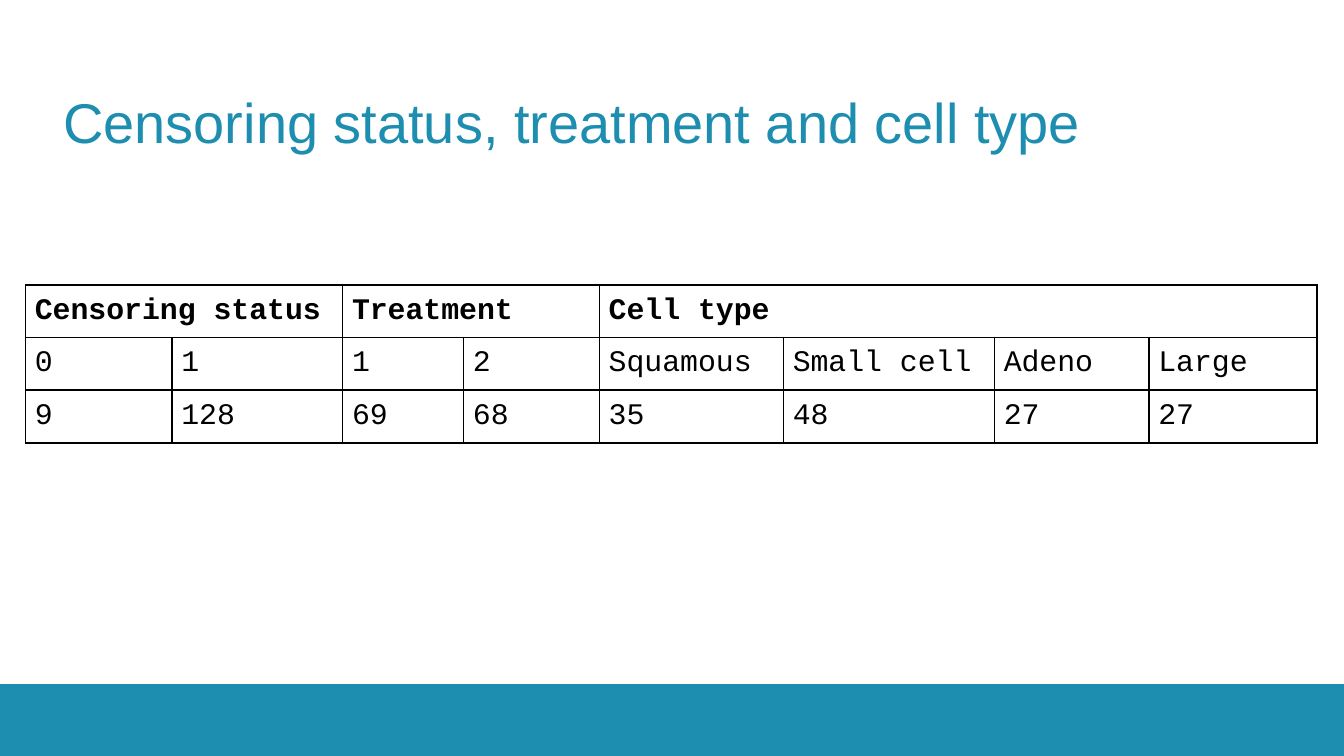
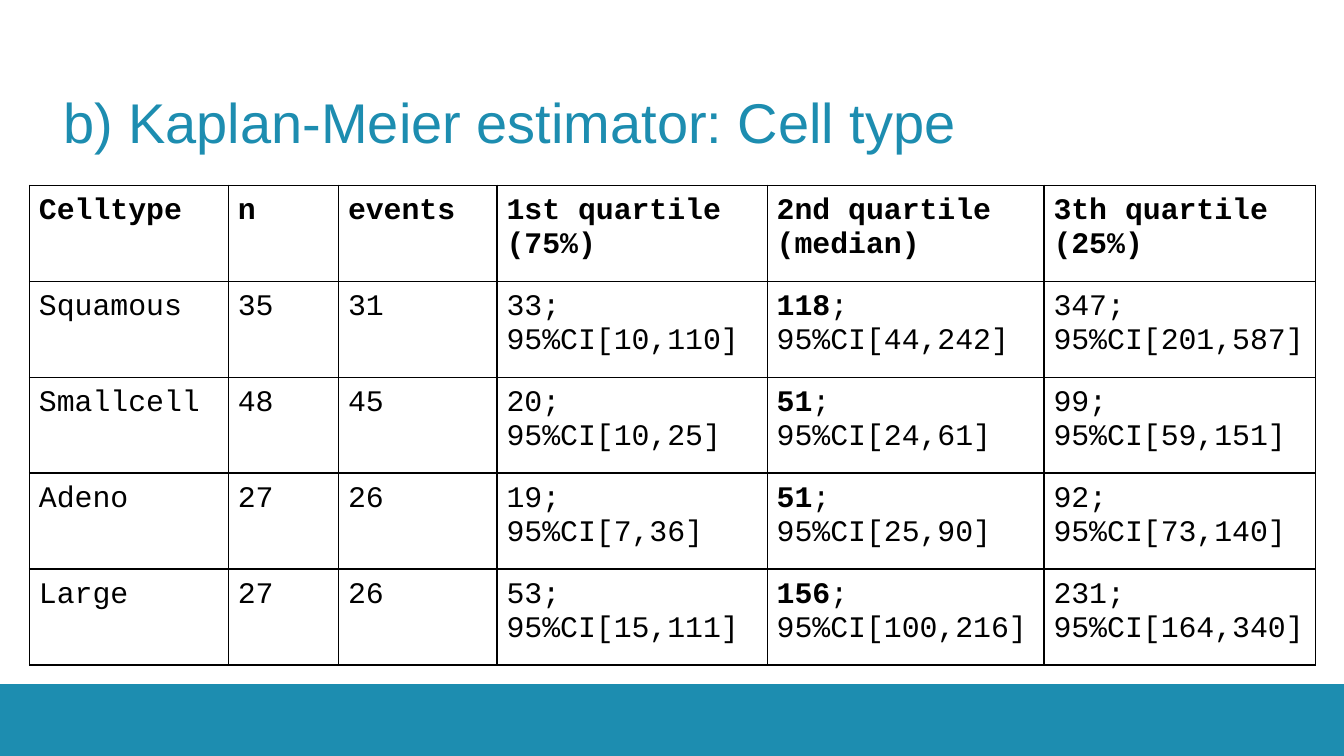
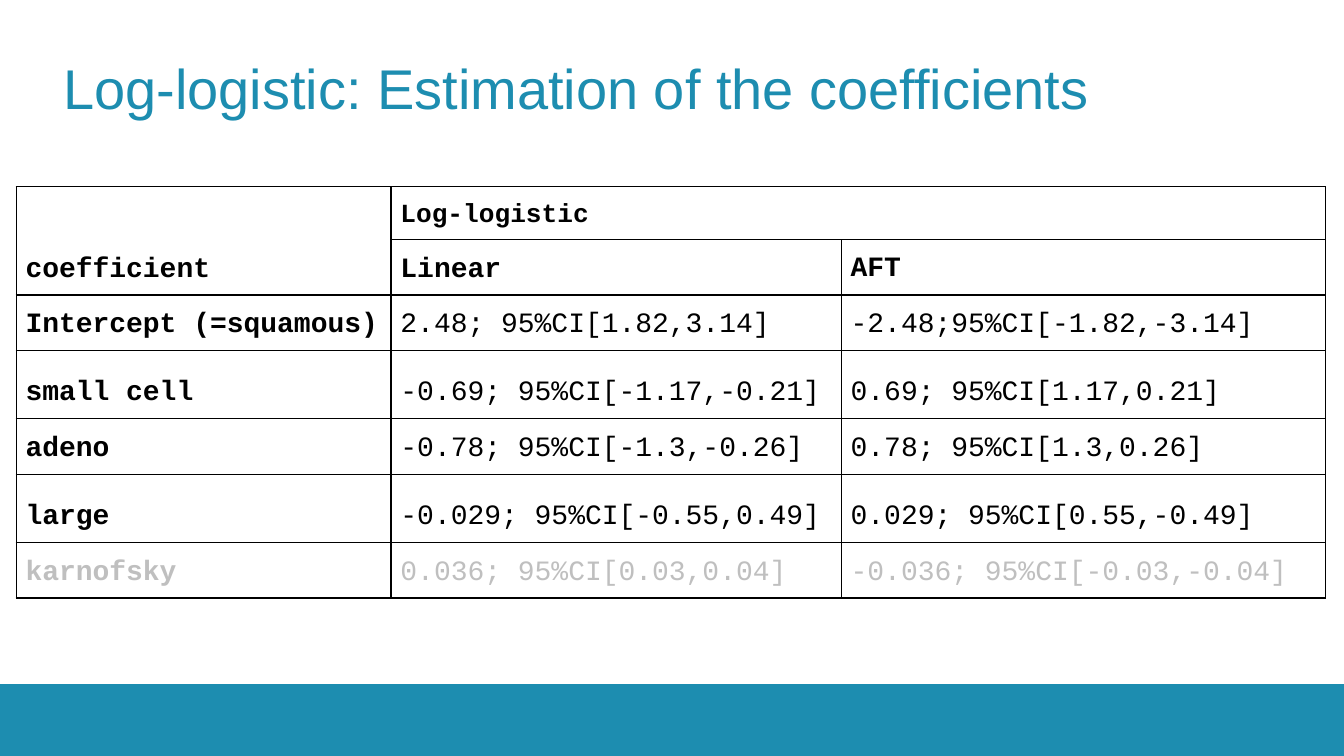
from lxml import etree
from pptx import Presentation
from pptx.dml.color import RGBColor
from pptx.enum.shapes import MSO_SHAPE
from pptx.enum.text import MSO_ANCHOR, PP_ALIGN
from pptx.oxml.ns import qn
from pptx.util import Inches, Pt

RECTANGLE = MSO_SHAPE.RECTANGLE
TOP, MIDDLE, BOTTOM = MSO_ANCHOR.TOP, MSO_ANCHOR.MIDDLE, MSO_ANCHOR.BOTTOM
LEFT, JUSTIFY = PP_ALIGN.LEFT, PP_ALIGN.JUSTIFY

TEAL = RGBColor(0x1D, 0x8D, 0xB0)
BLACK = RGBColor(0, 0, 0)
GREY = RGBColor(0xBF, 0xBF, 0xBF)
MARGIN = Inches(0.07)

prs = Presentation()
prs.slide_width = Inches(10)
prs.slide_height = prs.slide_width * 9 // 16
TITLE_ONLY = prs.slide_layouts[5]


def add_slide(title, top):
    s = prs.slides.add_slide(TITLE_ONLY)
    sp = s.shapes.title
    sp.left, sp.top, sp.width, sp.height = map(Inches, (0.47, top, 9.06, 0.94))
    tf = sp.text_frame
    tf.margin_left = tf.margin_top = tf.margin_right = tf.margin_bottom = 0
    tf.vertical_anchor = MIDDLE
    p = tf.paragraphs[0]
    p.text = title
    p.alignment = LEFT
    p.font.name, p.font.size, p.font.color.rgb = "Arial", Pt(30), TEAL
    return s


def add_grid(s, left, top, cols, heights, rows, header_rows, size, border):
    """Add a bordered table; text between asterisks is bold, as are header rows."""
    frame = s.shapes.add_table(len(rows), len(cols), Inches(left), Inches(top),
                               Inches(sum(cols)), Inches(sum(heights)))
    table = frame.table
    table.first_row = table.horz_banding = False
    for column, width in zip(table.columns, cols):
        column.width = Inches(width)
    for i, (row, height) in enumerate(zip(rows, heights)):
        table.rows[i].height = Inches(height)
        for j, text in enumerate(row):
            cell = table.cell(i, j)
            cell.margin_left = cell.margin_right = MARGIN
            cell.margin_top = cell.margin_bottom = MARGIN
            tcPr = cell._tc.get_or_add_tcPr()
            for side in ("a:lnL", "a:lnR", "a:lnT", "a:lnB"):
                ln = etree.SubElement(tcPr, qn(side), w=str(Pt(border)))
                fill = etree.SubElement(ln, qn("a:solidFill"))
                etree.SubElement(fill, qn("a:srgbClr"), val=str(BLACK))
            cell.fill.background()
            tf = cell.text_frame
            for k, line in enumerate(text.split("\n")):
                p = tf.add_paragraph() if k else tf.paragraphs[0]
                p.font.name, p.font.size = "Courier New", Pt(size)
                p.font.color.rgb = BLACK
                for n, part in enumerate(line.split("*")):
                    if part:
                        r = p.add_run()
                        r.text = part
                        r.font.bold = i < header_rows or n % 2 == 1
    return table


# Patient counts
s = add_slide("Censoring status, treatment and cell type", 0.43)
band_top = Inches(5.09)
band = s.shapes.add_shape(RECTANGLE, 0, band_top, prs.slide_width,
                          prs.slide_height - band_top)
band.shadow.inherit = False
band.fill.solid()
band.fill.fore_color.rgb = TEAL
band.line.fill.background()
# The band belongs to the master, behind everything else
prs.slide_master.shapes._spTree.insert(2, band._element)

counts = [
    ["Censoring status", "", "Treatment", "", "Cell type", "", "", ""],
    ["0", "1", "1", "2", "Squamous", "Small cell", "Adeno", "Large"],
    ["9", "128", "69", "68", "35", "48", "27", "27"],
]
table = add_grid(s, 0.19, 2.12, [1.09, 1.27, 0.9, 1.01, 1.37, 1.57, 1.15, 1.25],
                 [0.39] * 3, counts, 1, 16, 1)
for first, last in ((0, 1), (2, 3), (4, 7)):
    table.cell(0, first).merge(table.cell(0, last))

# Survival quartiles
s = add_slide("b) Kaplan-Meier estimator: Cell type", 0.43)
quartiles = [
    ["Celltype", "n", "events", "1st quartile\n(75%)", "2nd quartile\n(median)",
     "3th quartile\n(25%)"],
    ["Squamous", "35", "31", "33; 95%CI[10,110]", "*118*; 95%CI[44,242]",
     "347; 95%CI[201,587]"],
    ["Smallcell", "48", "45", "20; 95%CI[10,25]", "*51*; 95%CI[24,61]",
     "99; 95%CI[59,151]"],
    ["Adeno", "27", "26", "19; 95%CI[7,36]", "*51*; 95%CI[25,90]",
     "92; 95%CI[73,140]"],
    ["Large", "27", "26", "53; 95%CI[15,111]", "*156*; 95%CI[100,216]",
     "231; 95%CI[164,340]"],
]
add_grid(s, 0.22, 1.38, [1.48, 0.82, 1.18, 2.01, 2.06, 2.02], [3.57 / 5] * 5,
         quartiles, 1, 16, 1)

# Model coefficients
s = add_slide("Log-logistic: Estimation of the coefficients", 0.18)
coefficients = [
    ["coefficient", "Log-logistic", ""],
    ["", "Linear", "AFT"],
    ["*Intercept (=squamous)*", "2.48; 95%CI[1.82,3.14]", "-2.48;95%CI[-1.82,-3.14]"],
    ["*small cell*", "-0.69; 95%CI[-1.17,-0.21]", "0.69; 95%CI[1.17,0.21]"],
    ["*adeno*", "-0.78; 95%CI[-1.3,-0.26]", "0.78; 95%CI[1.3,0.26]"],
    ["*large*", "-0.029; 95%CI[-0.55,0.49]", "0.029; 95%CI[0.55,-0.49]"],
    ["*karnofsky*", "0.036; 95%CI[0.03,0.04]", "-0.036; 95%CI[-0.03,-0.04]"],
]
table = add_grid(s, 0.12, 1.39, [2.79, 3.35, 3.6],
                 [0.39, 0.41, 0.41, 0.51, 0.41, 0.51, 0.41], coefficients, 2, 15, 0.75)
for cell in table.iter_cells():
    cell.vertical_anchor = BOTTOM
    p = cell.text_frame.paragraphs[0]
    p.alignment, p.line_spacing = JUSTIFY, 1.15
table.cell(1, 2).vertical_anchor = TOP
table.cell(0, 1).text_frame.paragraphs[0].font.size = Pt(14)
for cell in table.rows[6].cells:
    cell.text_frame.paragraphs[0].font.color.rgb = GREY
table.cell(0, 0).merge(table.cell(1, 0))
table.cell(0, 1).merge(table.cell(0, 2))

prs.save("out.pptx")
